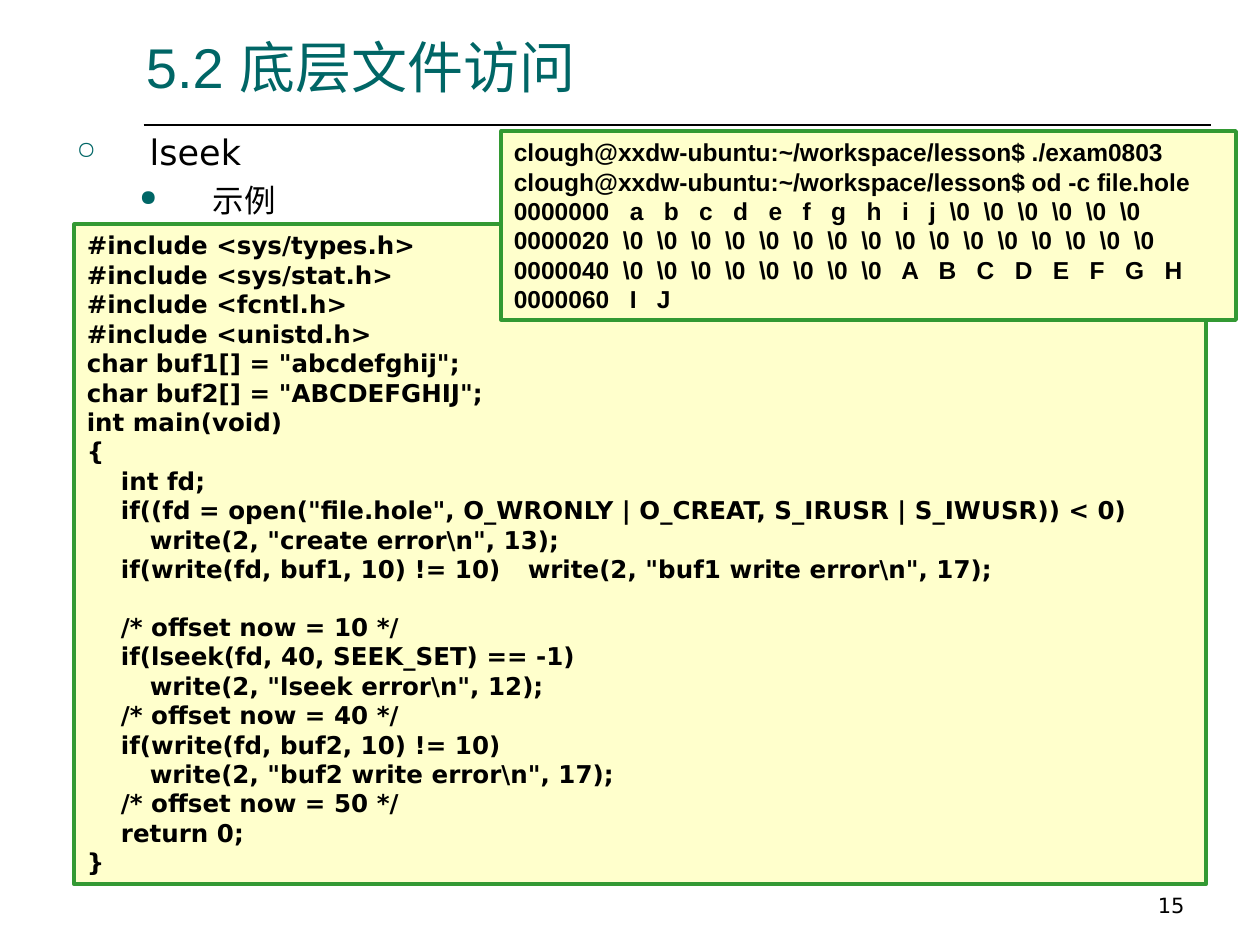
from lxml import etree
from pptx import Presentation, util as u
from pptx.dml.color import RGBColor
from pptx.enum import shapes, text
from pptx.oxml.ns import qn

TEAL = RGBColor(0x00, 0x66, 0x66)
GREEN = RGBColor(0x33, 0x99, 0x33)
CREAM = RGBColor(0xFF, 0xFF, 0xCC)
BLACK = RGBColor(0, 0, 0)
SANS, ARIAL = "DejaVu Sans", "Arial"

TITLE = "5.2 底层文件访问"
PAGE = "15"
ITEMS = [("lseek", "○", 20, 0.58, 0), ("示例", "●", 18, 1.08, 4.5)]
CODE = r"""#include <sys/types.h>
#include <sys/stat.h>
#include <fcntl.h>
#include <unistd.h>
char buf1[] = "abcdefghij";
char buf2[] = "ABCDEFGHIJ";
int main(void)
{
    int fd;
    if((fd = open("file.hole", O_WRONLY | O_CREAT, S_IRUSR | S_IWUSR)) < 0)
>write(2, "create error\n", 13);
    if(write(fd, buf1, 10) != 10)>write(2, "buf1 write error\n", 17);

    /* offset now = 10 */
    if(lseek(fd, 40, SEEK_SET) == -1)
>write(2, "lseek error\n", 12);
    /* offset now = 40 */
    if(write(fd, buf2, 10) != 10)
>write(2, "buf2 write error\n", 17);
    /* offset now = 50 */
    return 0;
}""".replace(">write", "\twrite")
SHELL = r"""clough@xxdw-ubuntu:~/workspace/lesson$ ./exam0803
clough@xxdw-ubuntu:~/workspace/lesson$ od -c file.hole
0000000   a   b   c   d   e   f   g   h   i   j  \0  \0  \0  \0  \0  \0
0000020  \0  \0  \0  \0  \0  \0  \0  \0  \0  \0  \0  \0  \0  \0  \0  \0
0000040  \0  \0  \0  \0  \0  \0  \0  \0   A   B   C   D   E   F   G   H
0000060   I   J"""
PANELS = [
    (CODE, SANS, (0.59, 1.78, 8.98, 5.24)),
    (SHELL, ARIAL, (3.98, 1.04, 5.83, 1.5)),
]
LINE = 16.3

deck = Presentation()
deck.slide_width, deck.slide_height = u.Inches(10), u.Inches(7.5)
slide = deck.slides.add_slide(deck.slide_layouts[6])


def style(para, size, face, color=BLACK, bold=False):
    font = para.font
    font.size, font.name, font.bold = u.Pt(size), face, bold
    font.color.rgb = color


def add_text(at, anchor=text.MSO_ANCHOR.TOP):
    box = slide.shapes.add_textbox(*map(u.Inches, at))
    frame = box.text_frame
    frame.word_wrap = True
    frame.vertical_anchor = anchor
    return frame


def add_bullet(para, mark, left):
    props = para._p.get_or_add_pPr()
    props.set("marL", str(u.Inches(left)))
    props.set("indent", str(-u.Inches(0.58)))
    tint = etree.SubElement(props, qn("a:buClr"))
    etree.SubElement(tint, qn("a:srgbClr"), val=str(TEAL))
    etree.SubElement(props, qn("a:buSzPct"), val="70000")
    etree.SubElement(props, qn("a:buChar"), char=mark)


def add_panel(source, face, at):
    panel = slide.shapes.add_shape(shapes.MSO_SHAPE.RECTANGLE, *map(u.Inches, at))
    panel.shadow.inherit = False
    panel.fill.solid()
    panel.fill.fore_color.rgb = CREAM
    panel.line.color.rgb = GREEN
    panel.line.width = u.Pt(2.25)
    frame = panel.text_frame
    frame.word_wrap = True
    frame.vertical_anchor = text.MSO_ANCHOR.TOP
    para, gap = frame.paragraphs[0], 0
    for row, line in enumerate(source.split("\n")):
        if not line:
            gap = LINE
            continue
        if row:
            para = frame.add_paragraph()
        para.text = line
        para.alignment = text.PP_ALIGN.LEFT
        if gap:
            para.space_before = u.Pt(gap)
        gap = 0
        style(para, 14, face, bold=True)


rule = slide.shapes.add_connector(
    shapes.MSO_CONNECTOR.STRAIGHT, *map(u.Inches, (1.14, 0.99, 9.61, 0.99)))
rule.line.color.rgb = BLACK
rule.line.width = u.Pt(1)
etree.SubElement(rule._element.spPr, qn("a:effectLst"))

body = add_text((0.51, 0.99, 9.07, 0.87))
for row, (label, mark, size, left, gap) in enumerate(ITEMS):
    para = body.add_paragraph() if row else body.paragraphs[0]
    para.text = label
    para.level = row
    add_bullet(para, mark, left)
    if gap:
        para.space_before = u.Pt(gap)
    style(para, size, SANS)

for panel in PANELS:
    add_panel(*panel)

head = add_text((1.06, 0.21, 8.47, 0.63), text.MSO_ANCHOR.BOTTOM).paragraphs[0]
head.text = TITLE
style(head, 32, ARIAL, TEAL)

foot = add_text((7.17, 6.83, 2.33, 0.5), text.MSO_ANCHOR.BOTTOM).paragraphs[0]
foot.text = PAGE
foot.alignment = text.PP_ALIGN.RIGHT
style(foot, 12, SANS)

deck.save("out.pptx")
